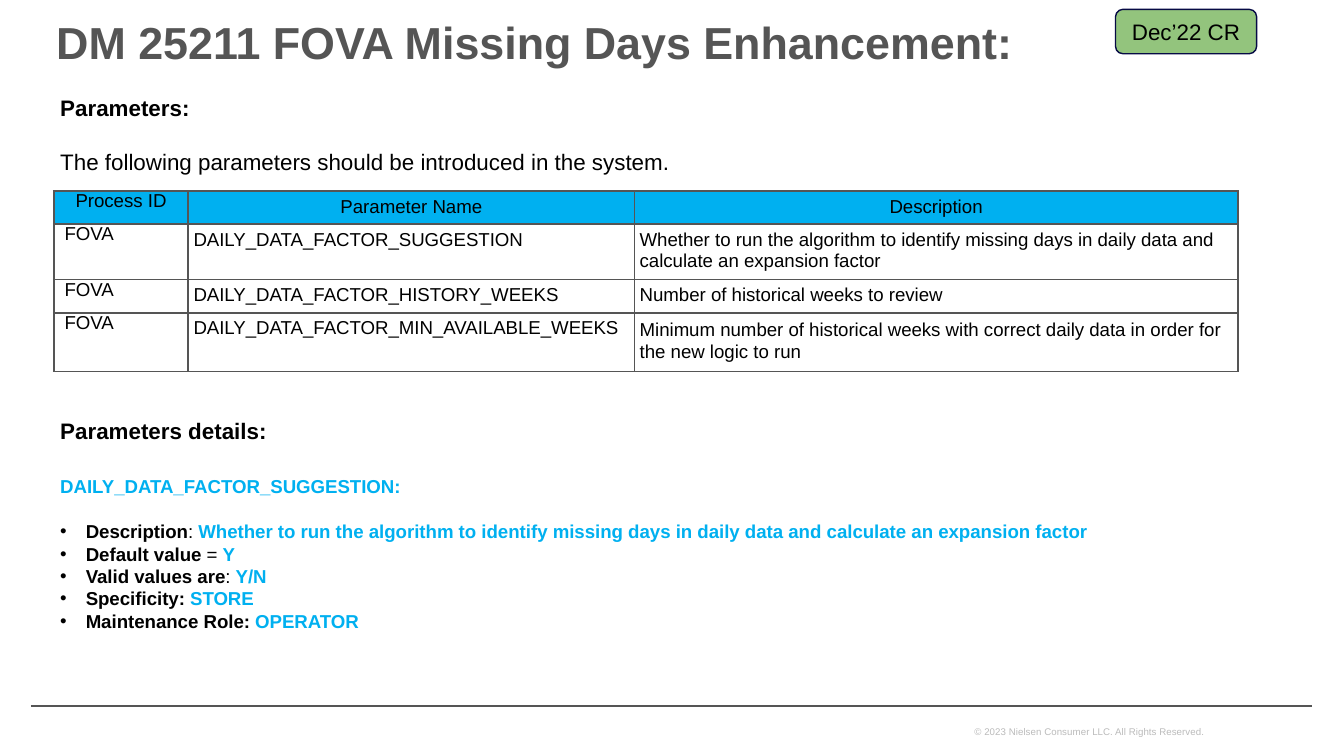
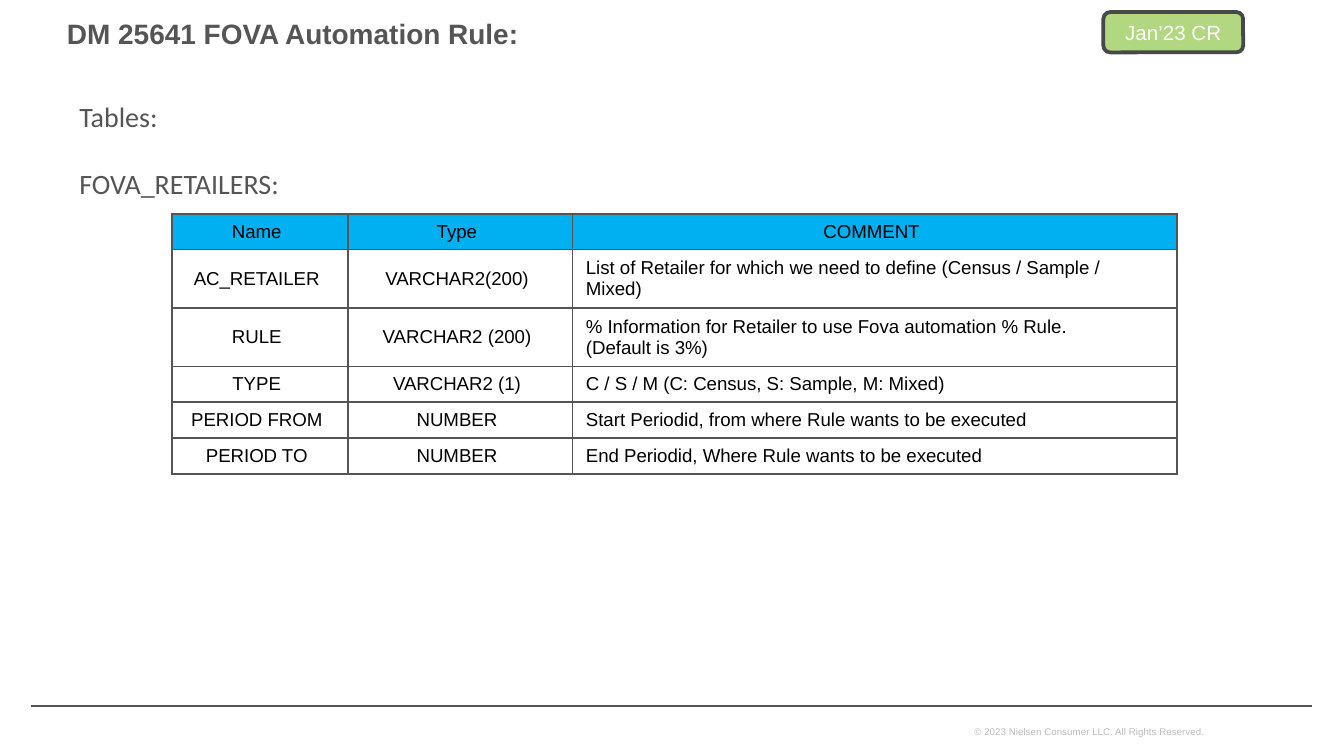
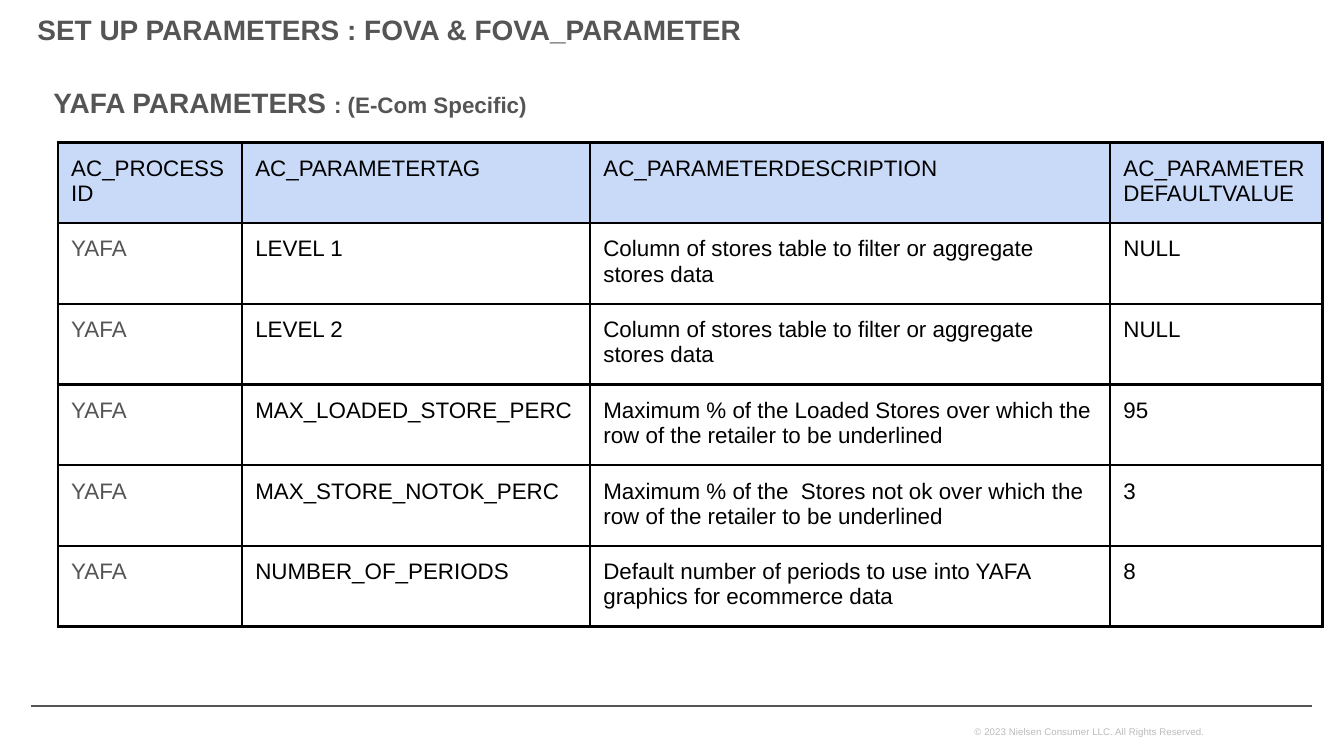
"""Build three slides on the FOVA and YAFA parameter tables."""
from dataclasses import dataclass

from lxml import etree
from pptx import Presentation
from pptx import util as u
from pptx.dml.color import RGBColor
from pptx.enum import shapes, text
from pptx.oxml import ns


@dataclass(frozen=True)
class Theme:
    font: str = "Arial"
    body_font: str = "Calibri"
    grey: str = "555555"
    black: str = "000000"
    white: str = "FFFFFF"
    pale: str = "BBBBBB"
    blue: str = "00B0F0"
    header: str = "C9DAF8"
    small: float = 10
    medium: float = 12
    large: float = 15
    title: float = 24
    footer: float = 5.25


theme = Theme()
LEFT, CENTER = text.PP_ALIGN.LEFT, text.PP_ALIGN.CENTER
TOP, MIDDLE, BOTTOM = text.MSO_ANCHOR.TOP, text.MSO_ANCHOR.MIDDLE, text.MSO_ANCHOR.BOTTOM


def add_text(slide, box, content, size, color, bold=False, font=theme.font,
             anchor=TOP, inset=(0.1, 0.05), spacing=None):
    shape = slide.shapes.add_textbox(*map(u.Inches, box))
    frame = shape.text_frame
    frame.word_wrap = True
    frame.vertical_anchor = anchor
    frame.margin_left = frame.margin_right = u.Inches(inset[0])
    frame.margin_top = frame.margin_bottom = u.Inches(inset[1])
    frame.text = content
    for paragraph in frame.paragraphs:
        paragraph.line_spacing = spacing
        paragraph.font.name = font
        paragraph.font.size = u.Pt(size)
        paragraph.font.bold = bold
        paragraph.font.color.rgb = RGBColor.from_string(color)
    return frame


def add_grid(slide, box, widths, heights, rows, size, fill, border, insets,
             centered=(), header_centered=True, anchor=TOP, first_color=theme.black):
    frame = slide.shapes.add_table(len(rows), len(widths), *map(u.Inches, box))
    table = frame.table
    table.first_row = table.horz_banding = False
    for column, width in zip(table.columns, widths):
        column.width = u.Inches(width)
    for row, height in zip(table.rows, heights):
        row.height = u.Inches(height)
    frame.height = u.Inches(box[3])
    for i, row in enumerate(rows):
        for j, content in enumerate(row):
            cell = table.cell(i, j)
            cell.text = content
            cell.vertical_anchor = anchor
            left, right, edge = insets[min(j, len(insets) - 1)]
            cell.margin_left, cell.margin_right = u.Inches(left), u.Inches(right)
            cell.margin_top = cell.margin_bottom = u.Inches(edge)
            is_centered = header_centered if i == 0 else j in centered
            color = first_color if i and j == 0 else theme.black
            for paragraph in cell.text_frame.paragraphs:
                paragraph.alignment = CENTER if is_centered else LEFT
                paragraph.font.name = theme.font
                paragraph.font.size = u.Pt(size)
                paragraph.font.color.rgb = RGBColor.from_string(color)
            if i == 0:
                cell.fill.solid()
                cell.fill.fore_color.rgb = RGBColor.from_string(fill)
            else:
                cell.fill.background()
            properties = cell._tc.get_or_add_tcPr()
            for position, tag in enumerate(("a:lnL", "a:lnR", "a:lnT", "a:lnB")):
                line = etree.Element(ns.qn(tag), w=str(u.Pt(border[1])))
                solid = etree.SubElement(line, ns.qn("a:solidFill"))
                etree.SubElement(solid, ns.qn("a:srgbClr"), val=border[0])
                properties.insert(position, line)
    return table


presentation = Presentation()
presentation.slide_width = u.Inches(10)
presentation.slide_height = presentation.slide_width * 9 // 16

titles = [
    ("DM 25211 FOVA Missing Days Enhancement:", (0.32, 0.17, 8.93, 0.35), theme.title, BOTTOM, 0),
    ("DM 25641 FOVA Automation Rule:", (0.4, 0.09, 8.66, 0.37), theme.large, TOP, 0.05),
    ("SET UP PARAMETERS : FOVA & FOVA_PARAMETER", (0.18, 0.06, 9.08, 0.49), theme.large, TOP, 0.05),
]
for title, box, size, anchor, edge in titles:
    slide = presentation.slides.add_slide(presentation.slide_layouts[6])
    add_text(slide, (7.25, 5.35, 2.13, 0.19), "© 2023 Nielsen Consumer LLC. All Rights Reserved.",
             theme.footer, theme.pale, inset=(0, 0.05))
    rule = slide.shapes.add_connector(
        shapes.MSO_CONNECTOR.STRAIGHT, *map(u.Inches, (0.23, 5.25, 9.76, 5.25)))
    rule.line.color.rgb = RGBColor.from_string(theme.grey)
    rule.line.width = u.Pt(1)
    etree.SubElement(rule._element.spPr, ns.qn("a:effectLst"))
    add_text(slide, box, title, size, theme.grey, bold=True, anchor=anchor,
             inset=(0.1, edge), spacing=0.95)

missing_days, automation_rule, setup = presentation.slides

badges = [
    (missing_days, (8.3, 0.07, 1.05, 0.33), "Dec’22 CR", "93C47D", "060A45", 0.75, 12, theme.black),
    (automation_rule, (8.21, 0.09, 1.04, 0.3), "Jan’23 CR", "B1D780", "464849", 2, 11, theme.white),
]
for slide, box, label, fill, outline, weight, size, color in badges:
    badge = slide.shapes.add_shape(shapes.MSO_SHAPE.ROUNDED_RECTANGLE, *map(u.Inches, box))
    badge.shadow.inherit = False
    badge.fill.solid()
    badge.fill.fore_color.rgb = RGBColor.from_string(fill)
    badge.line.color.rgb = RGBColor.from_string(outline)
    badge.line.width = u.Pt(weight)
    frame = badge.text_frame
    frame.vertical_anchor = MIDDLE
    frame.margin_top = frame.margin_bottom = u.Inches(0.05)
    frame.text = label
    paragraph = frame.paragraphs[0]
    paragraph.alignment = CENTER
    paragraph.font.name = theme.font
    paragraph.font.size = u.Pt(size)
    paragraph.font.color.rgb = RGBColor.from_string(color)

paragraphs = [
    ("Parameters:", theme.medium, theme.black, True, 0),
    ("The following parameters should be introduced in the system.",
     theme.medium, theme.black, False, 14.4),
    ("Parameters details:", theme.medium, theme.black, True, 130),
    ("DAILY_DATA_FACTOR_SUGGESTION:", theme.small, theme.blue, True, 16.6),
]
frame = add_text(missing_days, (0.35, 0.65, 9.3, 4.78), "\n".join(p[0] for p in paragraphs),
                 theme.medium, theme.black)
for paragraph, (_, size, color, bold, before) in zip(frame.paragraphs, paragraphs):
    paragraph.space_before = u.Pt(before)
    paragraph.font.size = u.Pt(size)
    paragraph.font.bold = bold
    paragraph.font.color.rgb = RGBColor.from_string(color)

details = [
    ("Description", ": ",
     "Whether to run the algorithm to identify missing days in daily data and calculate an expansion factor"),
    ("Default value", " = ", "Y"),
    ("Valid values are", ": ", "Y/N"),
    ("Specificity: ", "", "STORE"),
    ("Maintenance Role: ", "", "OPERATOR"),
]
for i, (name, sign, value) in enumerate(details):
    paragraph = frame.add_paragraph()
    paragraph.space_before = u.Pt(0 if i else 12)
    properties = paragraph._p.get_or_add_pPr()
    properties.set("marL", str(u.Inches(0.19)))
    properties.set("indent", str(-u.Inches(0.19)))
    bullet_color = etree.SubElement(properties, ns.qn("a:buClr"))
    etree.SubElement(bullet_color, ns.qn("a:srgbClr"), val=theme.black)
    etree.SubElement(properties, ns.qn("a:buFont"), typeface=theme.font)
    etree.SubElement(properties, ns.qn("a:buChar"), char="•")
    paragraph.font.name = theme.font
    paragraph.font.size = u.Pt(theme.small)
    for content, color, bold in ((name, theme.black, True), (sign, theme.black, False),
                                 (value, theme.blue, True)):
        if content:
            run = paragraph.add_run()
            run.text = content
            run.font.bold = bold
            run.font.color.rgb = RGBColor.from_string(color)

parameter_rows = [
    ("Process ID", "Parameter Name", "Description"),
    ("FOVA", "DAILY_DATA_FACTOR_SUGGESTION",
     "Whether to run the algorithm to identify missing days in daily data and calculate an expansion factor"),
    ("FOVA", "DAILY_DATA_FACTOR_HISTORY_WEEKS", "Number of historical weeks to review"),
    ("FOVA", "DAILY_DATA_FACTOR_MIN_AVAILABLE_WEEKS",
     "Minimum number of historical weeks with correct daily data in order for the new logic to run"),
]
parameter_table = add_grid(
    missing_days, (0.4, 1.42, 8.82, 1.32), (1, 3.32, 4.49), [0] * len(parameter_rows),
    parameter_rows, theme.small, theme.blue, (theme.grey, 1),
    ((0.08, 0.08, 0), (0.04, 0.04, 0.04)))
parameter_table.cell(3, 2).text_frame.paragraphs[0].line_spacing = 1.07

frame = add_text(automation_rule, (0.47, 0.69, 9.34, 4.84), "Tables:\nFOVA_RETAILERS:",
                 theme.large, theme.grey, font=theme.body_font, inset=(0.12, 0.05))
frame.paragraphs[1].space_before = u.Pt(18)
retailer_rows = [
    ("Name", "Type", "COMMENT"),
    ("AC_RETAILER", "VARCHAR2(200)",
     "List of Retailer for which we need to define (Census / Sample / Mixed)"),
    ("RULE", "VARCHAR2 (200)",
     "% Information for Retailer to use Fova automation % Rule.\n(Default is 3%)"),
    ("TYPE", "VARCHAR2 (1)", "C / S / M (C: Census, S: Sample, M: Mixed)"),
    ("PERIOD FROM", "NUMBER", "Start Periodid, from where Rule wants to be executed"),
    ("PERIOD TO", "NUMBER", "End Periodid, Where Rule wants to be executed"),
]
add_grid(automation_rule, (1.28, 1.59, 7.48, 1.93), (1.31, 1.67, 4.5),
         (0.21, 0.21, 0.21, 0.21, 0.24, 0.24), retailer_rows, theme.small, theme.blue,
         (theme.grey, 1), ((0.1, 0.15, 0.05),), centered=(0, 1), anchor=MIDDLE)

frame = add_text(setup, (0.3, 0.59, 8.96, 0.43), "YAFA PARAMETERS ", theme.large, theme.grey, bold=True)
run = frame.paragraphs[0].add_run()
run.text = ": (E-Com Specific)"
run.font.size = u.Pt(theme.medium)
setup_rows = [
    ("AC_PROCESSID", "AC_PARAMETERTAG", "AC_PARAMETERDESCRIPTION", "AC_PARAMETERDEFAULTVALUE"),
    ("YAFA", "LEVEL 1", "Column of stores table to filter or aggregate stores data", "NULL"),
    ("YAFA", "LEVEL 2", "Column of stores table to filter or aggregate stores data", "NULL"),
    ("YAFA", "MAX_LOADED_STORE_PERC",
     "Maximum % of the Loaded Stores over which the row of the retailer to be underlined", "95"),
    ("YAFA", "MAX_STORE_NOTOK_PERC",
     "Maximum % of the  Stores not ok over which the row of the retailer to be underlined", "3"),
    ("YAFA", "NUMBER_OF_PERIODS",
     "Default number of periods to use into YAFA graphics for ecommerce data", "8"),
]
add_grid(setup, (0.43, 1.06, 9.41, 3.6), (1.37, 2.59, 3.87, 1.58),
         (0.51, 0.41, 0.43, 0.58, 0.49, 0.56), setup_rows, theme.medium, theme.header,
         (theme.black, 1.5), ((0.1, 0.1, 0.1),), header_centered=False, first_color=theme.grey)

presentation.save("out.pptx")
